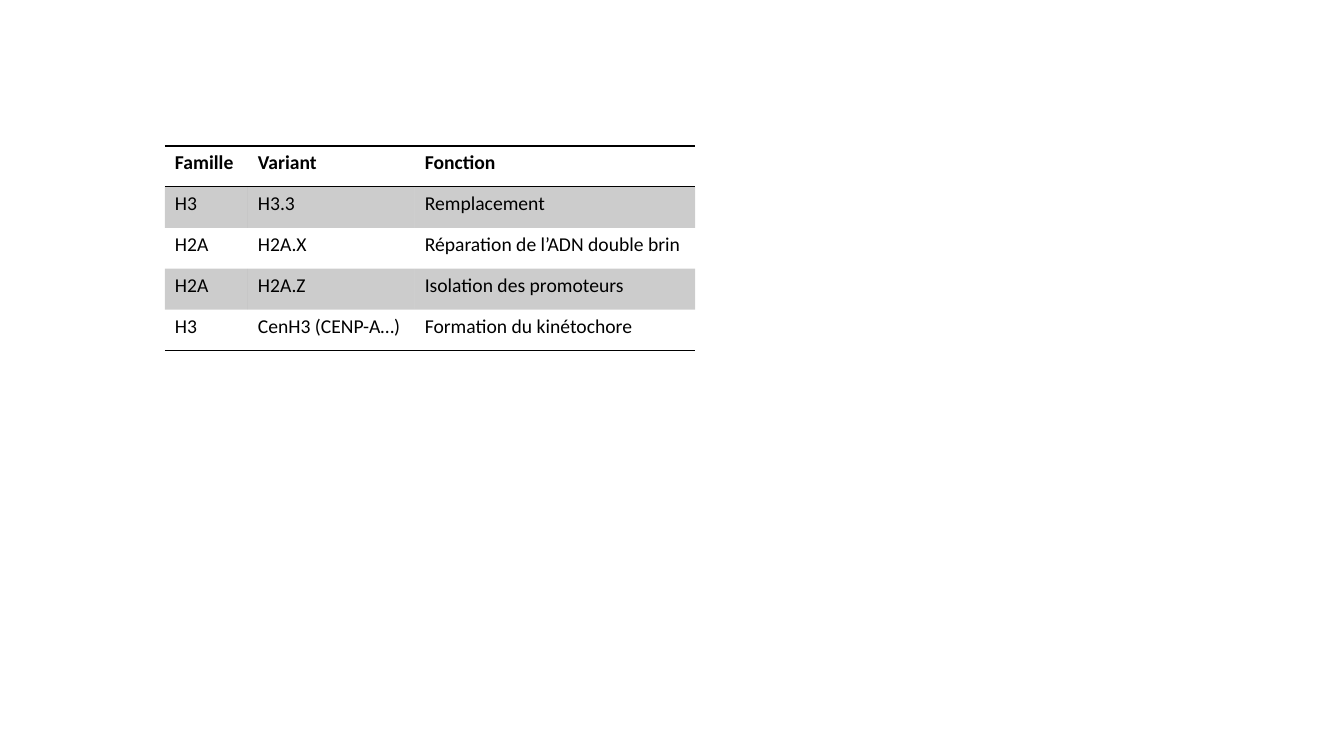
from dataclasses import dataclass

from lxml.etree import SubElement
from pptx import Presentation
from pptx.dml.color import RGBColor
from pptx.oxml.ns import qn
from pptx.table import Table, _Cell
from pptx.util import Emu, Pt

EMU_PER_PX = 9525
COLORS = {"ink": "000000"}
FONT_NAME = "Calibri"
FONT_SIZE = 14
BORDER_WIDTH = 1
BAND_OPACITY = 20
PLAIN_TABLE_STYLE = "{2D5ABB26-0587-4C30-8999-92F81FD0307C}"

TABLE_LEFT, TABLE_TOP = 157, 139
COLUMN_WIDTHS = (79, 159, 267)
ROW_HEIGHT = 39


@dataclass(frozen=True)
class TableRow:
    texts: tuple[str, str, str]
    bold: bool = False
    banded: bool = False
    borders: tuple[str, ...] = ()


ROWS = (
    TableRow(("Famille", "Variant", "Fonction"), bold=True, borders=("lnT", "lnB")),
    TableRow(("H3", "H3.3", "Remplacement"), banded=True),
    TableRow(("H2A", "H2A.X", "Réparation de l’ADN double brin")),
    TableRow(("H2A", "H2A.Z", "Isolation des promoteurs"), banded=True),
    TableRow(("H3", "CenH3 (CENP-A…)", "Formation du kinétochore"), borders=("lnB",)),
)


def px(length: int) -> Emu:
    return Emu(length * EMU_PER_PX)


def add_border(cell: _Cell, side: str) -> None:
    properties = cell._tc.get_or_add_tcPr()
    line = SubElement(properties, qn(f"a:{side}"), w=str(Pt(BORDER_WIDTH)))
    fill = SubElement(line, qn("a:solidFill"))
    SubElement(fill, qn("a:srgbClr"), val=COLORS["ink"])


def fill_cell(cell: _Cell, banded: bool) -> None:
    if not banded:
        cell.fill.background()
        return
    cell.fill.solid()
    cell.fill.fore_color.rgb = RGBColor.from_string(COLORS["ink"])
    color = cell._tc.tcPr.find(f".//{qn('a:srgbClr')}")
    SubElement(color, qn("a:alpha"), val=str(BAND_OPACITY * 1000))


def write_cell(cell: _Cell, text: str, row: TableRow) -> None:
    cell.text_frame.text = text
    font = cell.text_frame.paragraphs[0].runs[0].font
    font.name = FONT_NAME
    font.size = Pt(FONT_SIZE)
    font.bold = row.bold
    font.color.rgb = RGBColor.from_string(COLORS["ink"])
    for side in row.borders:
        add_border(cell, side)
    fill_cell(cell, row.banded)


def fill_table(table: Table) -> None:
    table.first_row = False
    table.horz_banding = False
    table._tbl.tblPr.find(qn("a:tableStyleId")).text = PLAIN_TABLE_STYLE
    for column, width in zip(table.columns, COLUMN_WIDTHS):
        column.width = px(width)
    for row_index, row in enumerate(ROWS):
        table.rows[row_index].height = px(ROW_HEIGHT)
        for column_index, text in enumerate(row.texts):
            write_cell(table.cell(row_index, column_index), text, row)


def main() -> None:
    presentation = Presentation()
    presentation.slide_width = px(1280)
    presentation.slide_height = px(720)
    slide = presentation.slides.add_slide(presentation.slide_layouts[6])
    shape = slide.shapes.add_table(
        len(ROWS),
        len(COLUMN_WIDTHS),
        px(TABLE_LEFT),
        px(TABLE_TOP),
        px(sum(COLUMN_WIDTHS)),
        px(ROW_HEIGHT * len(ROWS)),
    )
    fill_table(shape.table)
    presentation.save("out.pptx")


if __name__ == "__main__":
    main()
